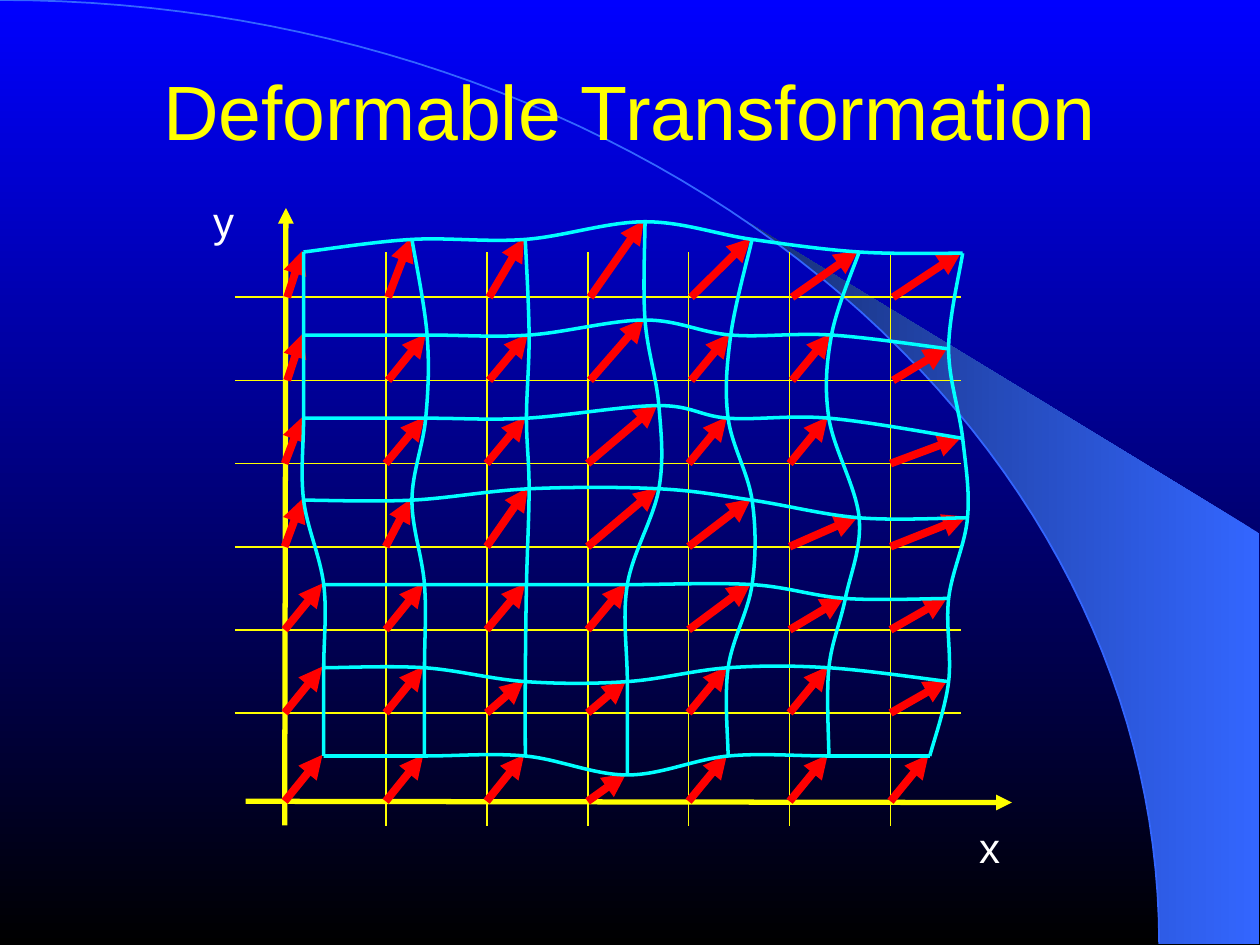
from math import cos, radians, sin

from lxml.etree import SubElement
from pptx import Presentation
from pptx.dml.color import RGBColor
from pptx.enum.shapes import MSO_CONNECTOR as Connector
from pptx.enum.text import MSO_ANCHOR as Anchor, MSO_AUTO_SIZE as AutoSize, PP_ALIGN as Align
from pptx.oxml.ns import qn
from pptx.util import Pt

COLORS = {
    "sky": "0000FF",
    "night": "000000",
    "band": "3366FF",
    "band_dark": "172F75",
    "grid": "FFFF00",
    "mesh": "00FFFF",
    "arrow": "FF0000",
    "label": "FFFFFF",
}

# Regular grid: left column and row heights from top to bottom
GRID_LEFT, COLUMN_GAP = 162.7, 57.7
AXIS_Y = 457.9
ROW_YS = [169.9 + 47.5 * row for row in range(6)] + [AXIS_Y]
COLUMN_XS = [GRID_LEFT + COLUMN_GAP * column for column in range(7)]

# Where each grid node moves to, row by row from the top
MOVED_NODES = [
    [(172.8, 143.3), (234.7, 136.1), (299.5, 136.1), (367.9, 126), (429.1, 136.1), (490.3, 143.3), (549.4, 144)],
    [(172.8, 190.8), (243.4, 190.8), (301.7, 190.8), (367.9, 182.2), (416.9, 190.8), (474.5, 190.8), (541.4, 198.7)],
    [(172.8, 238.3), (242.6, 238.3), (300.2, 238.3), (375.8, 231.1), (415.4, 238.3), (473, 238.3), (549.4, 249.8)],
    [(172.8, 285.1), (234.7, 285.1), (301.7, 278.6), (375.8, 278.6), (429.1, 285.1), (490.3, 295.2), (552.2, 295.2)],
    [(184.3, 333.4), (241.9, 333.4), (300.2, 333.4), (357.8, 333.4), (429.1, 333.4), (482.4, 341.3), (541.4, 341.3)],
    [(184.3, 380.9), (241.9, 380.9), (299.5, 388.8), (357.8, 388.8), (415.4, 380.9), (473, 380.9), (541.4, 388.8)],
    [(184.3, 431.3), (241.9, 431.3), (299.5, 431.3), (357.8, 442.1), (415.4, 431.3), (473, 431.3), (530.6, 431.3)],
]
MESH_OFFSET = 0.7

# Background arc: a quarter ellipse around the lower left corner
ARC_WIDTH, ARC_HEIGHT = 662.4, 539.3


def rgb(name):
    return RGBColor.from_string(COLORS[name])


def set_gradient(fill, first, last, angle):
    fill.gradient()
    fill.gradient_angle = angle
    for stop, name in zip(fill.gradient_stops, (first, last)):
        stop.color.rgb = rgb(name)


def add_line(slide, start, end, color, width, arrow=False):
    line = slide.shapes.add_connector(Connector.STRAIGHT, *map(Pt, start + end))
    line.line.color.rgb = rgb(color)
    line.line.width = Pt(width)
    properties = line._element.spPr
    if arrow:
        SubElement(properties.find(qn("a:ln")), qn("a:tailEnd"), type="triangle")
    SubElement(properties, qn("a:effectLst"))


def add_outline(slide, points, color=None, width=1, close=False):
    start, *rest = [(Pt(x), Pt(y)) for x, y in points]
    builder = slide.shapes.build_freeform(*start)
    builder.add_line_segments(rest, close=close)
    shape = builder.convert_to_shape()
    shape.shadow.inherit = False
    shape.fill.background()
    if color:
        shape.line.color.rgb = rgb(color)
        shape.line.width = Pt(width)
    else:
        shape.line.fill.background()
    return shape


def add_curve(slide, nodes, color, width):
    """Draw a smooth Catmull-Rom curve through the nodes as cubic Béziers."""
    padded = [nodes[0], *nodes, nodes[-1]]
    points = [nodes[0]]
    for before, start, end, after in zip(padded, padded[1:], padded[2:], padded[3:]):
        points += [
            tuple(s + (e - b) / 6 for b, s, e in zip(before, start, end)),
            tuple(e - (a - s) / 6 for s, e, a in zip(start, end, after)),
            end,
        ]
    shape = add_outline(slide, points, color, width)
    # Every three straight segments become one Bézier segment
    outline = shape._element.spPr.find(".//" + qn("a:path"))
    segments = outline.findall(qn("a:lnTo"))
    for first in range(0, len(segments), 3):
        bezier = SubElement(outline, qn("a:cubicBezTo"))
        for segment in segments[first:first + 3]:
            bezier.append(segment[0])
            outline.remove(segment)


def add_text(slide, text, box, size, color):
    text_box = slide.shapes.add_textbox(*map(Pt, box))
    frame = text_box.text_frame
    frame.text = text
    paragraph = frame.paragraphs[0]
    paragraph.alignment = Align.CENTER
    font = paragraph.runs[0].font
    font.name, font.size = "Arial", Pt(size)
    font.color.rgb = rgb(color)
    return frame


def add_title(slide):
    frame = add_text(slide, "Deformable Transformation", (54, 8.6, 612, 108.7), 44, "grid")
    frame.word_wrap = True
    frame.vertical_anchor = Anchor.MIDDLE
    frame.margin_left = frame.margin_right = frame.margin_top = frame.margin_bottom = 0


def add_axis_label(slide, text, left, top):
    frame = add_text(slide, text, (left, top, 26.6, 30.2), 24, "label")
    frame.word_wrap = False
    frame.auto_size = AutoSize.SHAPE_TO_FIT_TEXT
    paragraph = frame.paragraphs[0]
    paragraph.line_spacing = 0.8
    paragraph.space_before = Pt(15)


def arc_points(first, last, steps):
    angles = [radians(first + (last - first) * step / steps) for step in range(steps + 1)]
    return [(ARC_WIDTH * cos(angle), ARC_HEIGHT * (1 - sin(angle))) for angle in angles]


def add_background(slide):
    set_gradient(slide.background.fill, "sky", "night", 270)
    corners = [(719.3, ARC_HEIGHT), (719.3, 304.6)]
    band = add_outline(slide, corners + arc_points(50.2, 0, 30), close=True)
    set_gradient(band.fill, "band", "band_dark", 180)
    add_outline(slide, arc_points(0, 90, 60), "band")


def add_grid(slide):
    add_line(slide, (GRID_LEFT, 471.6), (163.4, 118.8), "grid", 3, arrow=True)
    add_line(slide, (140.4, AXIS_Y), (578.2, 458.6), "grid", 3, arrow=True)
    for y in ROW_YS[:-1]:
        add_line(slide, (134.3, y), (549.4, y), "grid", 1)
    for x in COLUMN_XS[1:]:
        add_line(slide, (x, 144), (x, 472.3), "grid", 1)


def add_displacements(slide):
    for row, (y, tips) in enumerate(zip(ROW_YS, MOVED_NODES)):
        shift = 1.4 if row < 2 else 0
        for x, tip in zip(COLUMN_XS, tips):
            add_line(slide, (x + shift, y), tip, "arrow", 4.5, arrow=True)


def add_mesh(slide):
    rows = [[(x + MESH_OFFSET, y + MESH_OFFSET) for x, y in row] for row in MOVED_NODES]
    for nodes in rows + list(zip(*rows)):
        add_curve(slide, nodes, "mesh", 2)


def main():
    presentation = Presentation()
    presentation.slide_width, presentation.slide_height = Pt(720), Pt(540)
    slide = presentation.slides.add_slide(presentation.slide_layouts[6])

    # Backdrop and title
    add_background(slide)
    add_title(slide)

    # Coordinate system
    add_axis_label(slide, "y", 114.5, 113.8)
    add_grid(slide)
    add_axis_label(slide, "x", 552.2, 471.6)

    # Deformation
    add_displacements(slide)
    add_mesh(slide)

    presentation.save("out.pptx")


if __name__ == "__main__":
    main()
